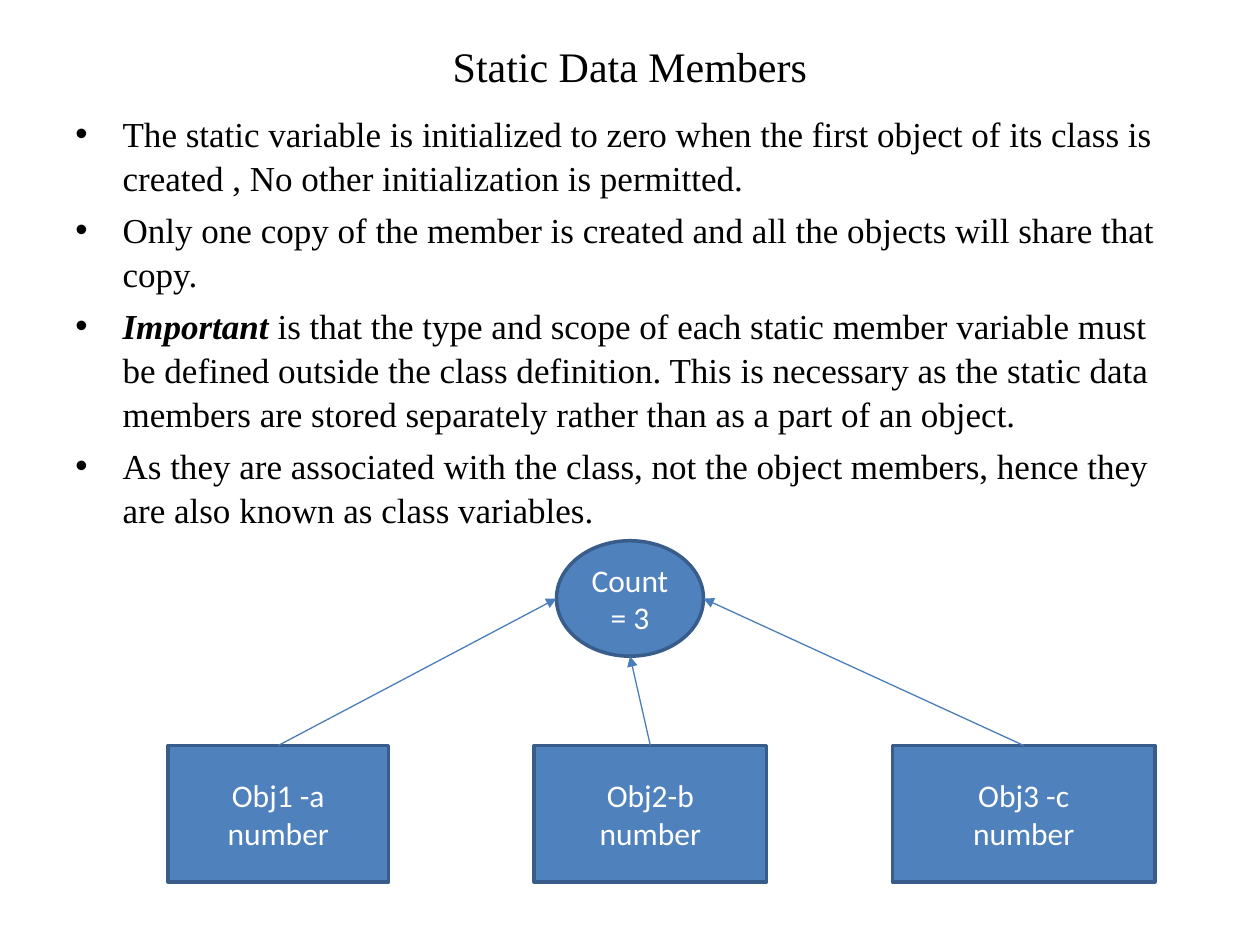
"""Build a slide on static data members shared by three objects."""
import pptx
import pptx.util
import pptx.dml.color
import pptx.enum.shapes
import pptx.enum.text
import pptx.oxml
import pptx.oxml.ns

Pt = pptx.util.Pt
RGBColor = pptx.dml.color.RGBColor
MSO_SHAPE = pptx.enum.shapes.MSO_SHAPE
PP_ALIGN = pptx.enum.text.PP_ALIGN
MSO_ANCHOR = pptx.enum.text.MSO_ANCHOR

TITLE = "Static Data Members"
BULLETS = [
    [("The static variable is initialized to zero when the first object of its "
      "class is created , No other initialization is permitted.", False)],
    [("Only one copy of the member is created and all the objects will share "
      "that copy.", False)],
    [("Important", True),
     (" is that the type and scope of each static member variable must be "
      "defined outside the class definition. This is necessary as the static "
      "data members are stored separately rather than as a part of an object.",
      False)],
    [("As they are associated with the class, not the object members, hence "
      "they are also known as class variables.", False)],
]
COUNTER = "Count = 3"
COUNTER_BOX = (318, 309, 84, 66)
OBJECTS = [
    (["Obj1 -a", "number"], 96, 126),
    (["Obj2-b", "number"], 305.25, 132.75),
    (["Obj3 -c", "number"], 510, 150),
]
OBJECT_TOP, OBJECT_HEIGHT = 426, 78

BLACK = RGBColor(0x00, 0x00, 0x00)
WHITE = RGBColor(0xFF, 0xFF, 0xFF)
BLUE = RGBColor(0x4F, 0x81, 0xBD)
DARK_BLUE = RGBColor(0x38, 0x5D, 0x8A)
ARROW_BLUE = RGBColor(0x4A, 0x7E, 0xBB)
SERIF, SANS = "Times New Roman", "Calibri"


def xml_element(tag, **attributes):
    element = pptx.oxml.parse_xml(f"<{tag} {pptx.oxml.ns.nsdecls('a')}/>")
    for name, value in attributes.items():
        element.set(name, value)
    return element


def add_run(paragraph, text, font_name, size, color, emphasis=False):
    run = paragraph.add_run()
    run.text = text
    run.font.name = font_name
    run.font.size = Pt(size)
    run.font.color.rgb = color
    if emphasis:
        run.font.bold = run.font.italic = True


def next_paragraph(frame, index):
    return frame.add_paragraph() if index else frame.paragraphs[0]


def add_text_frame(slide, left, top, width, height):
    box = slide.shapes.add_textbox(Pt(left), Pt(top), Pt(width), Pt(height))
    box.text_frame.word_wrap = True
    return box.text_frame


def add_title(slide):
    frame = add_text_frame(slide, 36, 21.6, 648, 32.4)
    frame.vertical_anchor = MSO_ANCHOR.MIDDLE
    paragraph = frame.paragraphs[0]
    paragraph.alignment = PP_ALIGN.CENTER
    add_run(paragraph, TITLE, SERIF, 24, BLACK)


def add_bullets(slide):
    frame = add_text_frame(slide, 36, 60, 648, 264)
    for index, runs in enumerate(BULLETS):
        paragraph = next_paragraph(frame, index)
        properties = paragraph._p.get_or_add_pPr()
        properties.set("marL", str(Pt(27)))
        properties.set("indent", str(-Pt(27)))
        properties.append(xml_element("a:buFont", typeface="Arial"))
        properties.append(xml_element("a:buChar", char="•"))
        paragraph.line_spacing = 1.04
        if index:
            paragraph.space_before = Pt(5)
        for text, emphasis in runs:
            add_run(paragraph, text, SERIF, 20, BLACK, emphasis)


def add_node(slide, kind, lines, left, top, width, height):
    shape = slide.shapes.add_shape(kind, Pt(left), Pt(top), Pt(width), Pt(height))
    shape.shadow.inherit = False
    shape.fill.solid()
    shape.fill.fore_color.rgb = BLUE
    shape.line.color.rgb = DARK_BLUE
    shape.line.width = Pt(2)
    frame = shape.text_frame
    frame.word_wrap = True
    frame.vertical_anchor = MSO_ANCHOR.MIDDLE
    for index, line in enumerate(lines):
        paragraph = next_paragraph(frame, index)
        paragraph.alignment = PP_ALIGN.CENTER
        add_run(paragraph, line, SANS, 18, WHITE)
    return shape


def add_arrow(slide, source, end):
    connector = slide.shapes.add_connector(
        pptx.enum.shapes.MSO_CONNECTOR.STRAIGHT,
        source.left + source.width // 2, source.top, Pt(end[0]), Pt(end[1]))
    connector.begin_connect(source, 0)
    connector.line.color.rgb = ARROW_BLUE
    connector.line.width = Pt(0.75)
    connector.line._get_or_add_ln().append(xml_element("a:tailEnd", type="triangle"))
    connector._element.spPr.append(xml_element("a:effectLst"))


def main():
    presentation = pptx.Presentation()
    presentation.slide_width, presentation.slide_height = Pt(720), Pt(540)
    slide = presentation.slides.add_slide(presentation.slide_layouts[6])
    add_title(slide)
    add_bullets(slide)

    add_node(slide, MSO_SHAPE.OVAL, [COUNTER], *COUNTER_BOX)
    boxes = [add_node(slide, MSO_SHAPE.RECTANGLE, lines, left, OBJECT_TOP,
                      width, OBJECT_HEIGHT) for lines, left, width in OBJECTS]

    left, top, width, height = COUNTER_BOX
    arrow_ends = [(left, top + height / 2), (left + width / 2, top + height),
                  (left + width, top + height / 2)]
    for box, end in zip(boxes, arrow_ends):
        add_arrow(slide, box, end)
    presentation.save("out.pptx")


if __name__ == "__main__":
    main()
